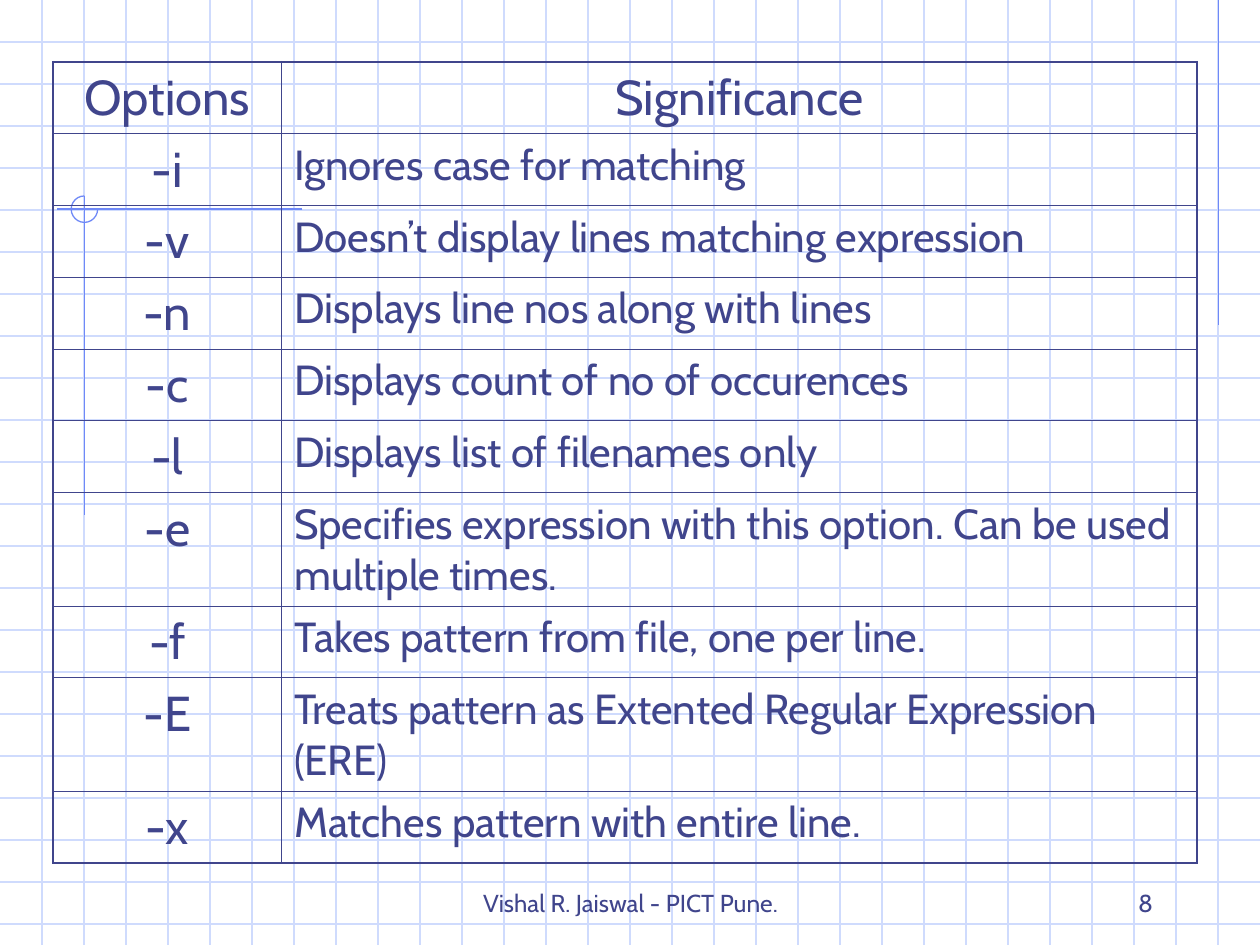
from dataclasses import dataclass

from lxml import etree
from pptx import Presentation
from pptx.dml.color import RGBColor
from pptx.enum.shapes import MSO_CONNECTOR, MSO_SHAPE
from pptx.enum.text import MSO_ANCHOR, PP_ALIGN
from pptx.oxml.ns import qn
from pptx.util import Inches, Pt

STRAIGHT = MSO_CONNECTOR.STRAIGHT
ARC = MSO_SHAPE.ARC
BOTTOM = MSO_ANCHOR.BOTTOM
LEFT, CENTER, RIGHT = PP_ALIGN.LEFT, PP_ALIGN.CENTER, PP_ALIGN.RIGHT
BLANK_LAYOUT = 6


@dataclass(frozen=True)
class Theme:
    font: str = "Cabin"
    ink: str = "40458C"
    grid: str = "CFDBFD"
    accent: str = "6F89F7"
    option_size: int = 28
    meaning_size: int = 24
    footer_size: int = 14
    rule: float = 0.75
    outer_border: float = 1.08
    inner_border: float = 0.45


THEME = Theme()
WIDTH, HEIGHT = 10, 7.5
GRID_STEPS_PER_INCH = 3
ROWS = [
    ("Options", "Significance"),
    ("-i", "Ignores case for matching"),
    ("-v", "Doesn’t display lines matching expression"),
    ("-n", "Displays line nos along with lines"),
    ("-c", "Displays count of no of occurences"),
    ("-l", "Displays list of filenames only"),
    ("-e", "Specifies expression with this option. Can be used multiple times."),
    ("-f", "Takes pattern from file, one per line."),
    ("-E", "Treats pattern as Extented Regular Expression (ERE)"),
    ("-x", "Matches pattern with entire line."),
]
TWO_LINE_OPTIONS = ("-e", "-E")


def style_paragraph(paragraph, text, size, alignment):
    paragraph.text = text
    paragraph.alignment = alignment
    paragraph.font.name = THEME.font
    paragraph.font.size = Pt(size)
    paragraph.font.color.rgb = RGBColor.from_string(THEME.ink)


def add_line(slide, start, end, color):
    points = [Inches(value) for value in (*start, *end)]
    line = slide.shapes.add_connector(STRAIGHT, *points)
    line.line.color.rgb = RGBColor.from_string(color)
    line.line.width = Pt(THEME.rule)
    etree.SubElement(line._element.spPr, qn("a:effectLst"))


def add_grid(slide, left, top, width, height):
    """Graph-paper lines at every third of an inch."""
    for step in range(1, int(height * GRID_STEPS_PER_INCH) + 1):
        y = top + step / GRID_STEPS_PER_INCH
        add_line(slide, (left, y), (left + width, y), THEME.grid)
    for step in range(1, width * GRID_STEPS_PER_INCH):
        x = left + step / GRID_STEPS_PER_INCH
        add_line(slide, (x, top), (x, top + height), THEME.grid)


def add_accents(slide, left, top, width):
    """Margin lines, and the three-quarter ring where two of them cross."""
    right_margin = left + width - 0.33
    center_x, center_y, radius = left + 0.67, top + 1.66, 0.105
    add_line(slide, (right_margin, top), (right_margin, top + 2.58), THEME.accent)
    add_line(slide, (left + 2.4, center_y), (left + 0.45, center_y), THEME.accent)
    add_line(slide, (center_x, center_y - radius), (center_x, top + 4.09), THEME.accent)

    ring = slide.shapes.add_shape(
        ARC, Inches(center_x - radius), Inches(center_y - radius),
        Inches(2 * radius), Inches(2 * radius))
    ring.adjustments[0] = 0
    ring.adjustments[1] = 162  # 270 degrees in the preset's units
    ring.shadow.inherit = False
    ring.fill.background()
    ring.line.color.rgb = RGBColor.from_string(THEME.accent)
    ring.line.width = Pt(THEME.rule)


def add_footer_text(slide, text, left, top, width, height, alignment):
    box = slide.shapes.add_textbox(
        Inches(left), Inches(top), Inches(width), Inches(height))
    box.text_frame.word_wrap = True
    box.text_frame.vertical_anchor = BOTTOM
    style_paragraph(box.text_frame.paragraphs[0], text, THEME.footer_size, alignment)


def set_borders(cell, outer_sides):
    properties = cell._tc.get_or_add_tcPr()
    for side in "LRTB":
        width = THEME.outer_border if side in outer_sides else THEME.inner_border
        border = etree.SubElement(properties, qn(f"a:ln{side}"), w=str(Pt(width)))
        fill = etree.SubElement(border, qn("a:solidFill"))
        etree.SubElement(fill, qn("a:srgbClr"), val=THEME.ink)


def add_options_table(slide, left, top, width, height):
    table = slide.shapes.add_table(
        len(ROWS), 2, Inches(left), Inches(top), Inches(width), Inches(height)).table
    table.first_row = False
    table.horz_banding = False
    table.columns[0].width = Inches(width * 0.2)
    table.columns[1].width = Inches(width * 0.8)

    last_row = len(ROWS) - 1
    for row_index, texts in enumerate(ROWS):
        table.rows[row_index].height = Inches(
            0.9 if texts[0] in TWO_LINE_OPTIONS else 0.57)
        for column_index, text in enumerate(texts):
            cell = table.cell(row_index, column_index)
            outer_sides = "LR"[column_index]
            if row_index == 0:
                outer_sides += "T"
            if row_index == last_row:
                outer_sides += "B"
            set_borders(cell, outer_sides)
            cell.fill.background()

            # Headings and options are large and centred, meanings smaller
            large = row_index == 0 or column_index == 0
            paragraph = cell.text_frame.paragraphs[0]
            style_paragraph(
                paragraph, text,
                THEME.option_size if large else THEME.meaning_size,
                CENTER if large else LEFT)
            paragraph.space_before = Pt(7 if large else 6)


def main():
    presentation = Presentation()
    presentation.slide_width = Inches(WIDTH)
    presentation.slide_height = Inches(HEIGHT)
    slide = presentation.slides.add_slide(presentation.slide_layouts[BLANK_LAYOUT])

    # Backdrop
    add_grid(slide, 0, 0, WIDTH, HEIGHT)
    add_accents(slide, 0, 0, WIDTH)

    # Footer and page number
    add_footer_text(slide, "Vishal R. Jaiswal - PICT Pune.", 3.42, 6.83, 3.17, 0.5, CENTER)
    add_footer_text(slide, "8", 7.17, 6.83, 2.08, 0.5, RIGHT)

    # Options and their meanings
    add_options_table(slide, 0.42, 0.49, 9.08, 6.35)

    presentation.save("out.pptx")


if __name__ == "__main__":
    main()
